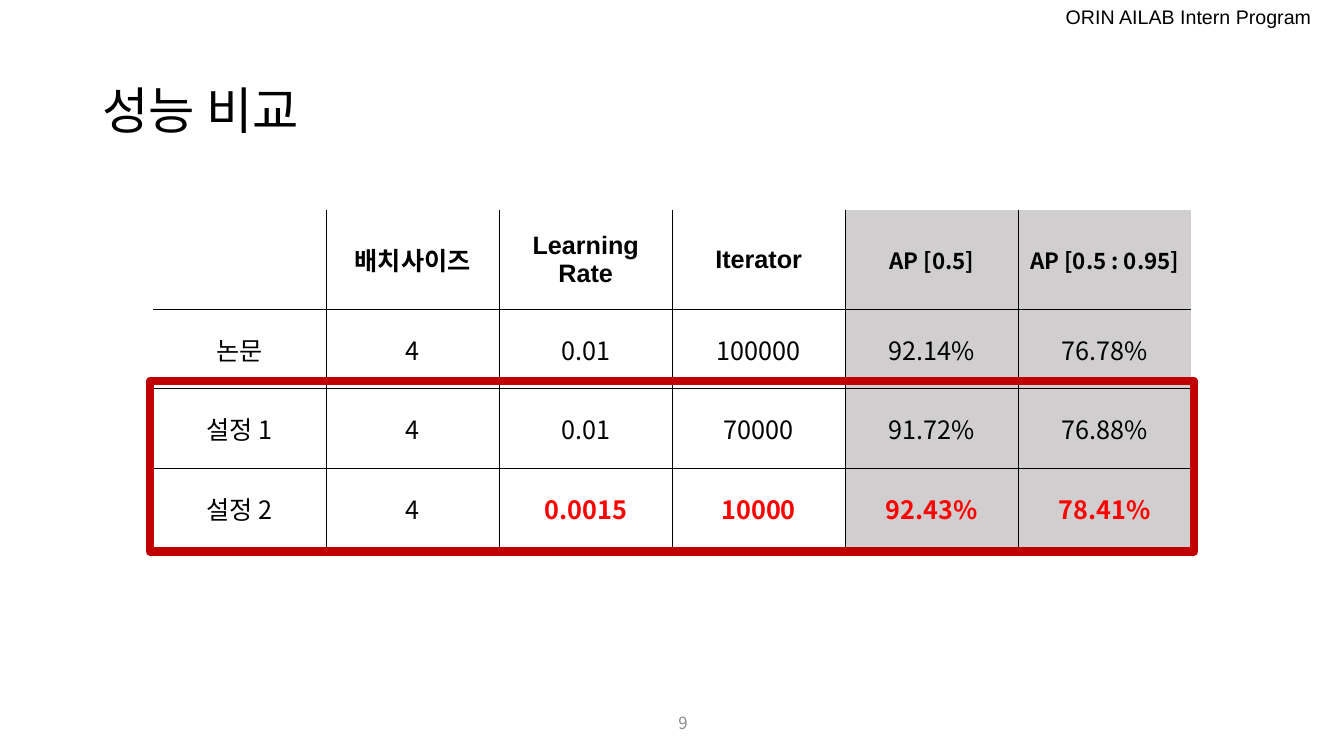
from dataclasses import dataclass

from lxml import etree
from pptx import Presentation
from pptx import util as u
from pptx.dml.color import RGBColor
from pptx.enum import shapes, text
from pptx.oxml import ns

COLORS = {
    "black": "000000",
    "white": "FFFFFF",
    "highlight": "D0CECE",
    "best": "FF0000",
    "frame": "C00000",
    "page": "8C8C8C",
}
LATIN_FONT = "Arial"
KOREAN_FONT = "Noto Sans CJK KR"
ROWS = [
    ["", "배치사이즈", "Learning Rate", "Iterator", "AP [0.5]", "AP [0.5 : 0.95]"],
    ["논문", "4", "0.01", "100000", "92.14%", "76.78%"],
    ["설정 1", "4", "0.01", "70000", "91.72%", "76.88%"],
    ["설정 2", "4", "0.0015", "10000", "92.43%", "78.41%"],
]
ROW_HEIGHTS = [2.5, 2.01, 2.01, 2.01]
COLUMN_WIDTH = 4.36
FIRST_SCORE_COLUMN = 4
FIRST_BEST_COLUMN = 2


@dataclass(frozen=True)
class Box:
    left: float
    top: float
    width: float
    height: float

    def lengths(self) -> tuple:
        return u.Cm(self.left), u.Cm(self.top), u.Cm(self.width), u.Cm(self.height)


@dataclass(frozen=True)
class TextStyle:
    size: int
    font: str = KOREAN_FONT
    color: str = "black"
    bold: bool = False
    align: text.PP_ALIGN = text.PP_ALIGN.CENTER


@dataclass(frozen=True)
class Label:
    words: str
    box: Box
    style: TextStyle
    anchor: text.MSO_ANCHOR


LABELS = [
    Label("ORIN AILAB Intern Program", Box(0.89, 0, 32.41, 0.86),
          TextStyle(14, LATIN_FONT, align=text.PP_ALIGN.RIGHT), text.MSO_ANCHOR.TOP),
    Label("9", Box(9.96, 17.7, 7.62, 1.02),
          TextStyle(12, color="page", align=text.PP_ALIGN.RIGHT), text.MSO_ANCHOR.MIDDLE),
]


def rgb(name: str) -> RGBColor:
    return RGBColor.from_string(COLORS[name])


def write(frame, words: str, style: TextStyle) -> None:
    """Fill a text frame with one paragraph, Hangul always in the Korean font."""
    paragraph = frame.paragraphs[0]
    paragraph.text = words
    paragraph.alignment = style.align
    font = paragraph.font
    font.size = u.Pt(style.size)
    font.bold = style.bold
    font.name = style.font
    font.color.rgb = rgb(style.color)
    properties = paragraph._p.pPr.find(ns.qn("a:defRPr"))
    etree.SubElement(properties, ns.qn("a:ea"), typeface=KOREAN_FONT)


def add_label(slide, label: Label) -> None:
    frame = slide.shapes.add_textbox(*label.box.lengths()).text_frame
    frame.word_wrap = True
    frame.vertical_anchor = label.anchor
    write(frame, label.words, label.style)


def add_title(slide, words: str, box: Box) -> None:
    title = slide.shapes.title
    title.left, title.top, title.width, title.height = box.lengths()
    title.text_frame.vertical_anchor = text.MSO_ANCHOR.MIDDLE
    write(title.text_frame, words, TextStyle(36, align=text.PP_ALIGN.LEFT))
    title.text_frame.paragraphs[0].line_spacing = 0.9


def set_borders(cell, sides: dict[str, bool]) -> None:
    """Draw the sides marked True and clear the others."""
    properties = cell._tc.get_or_add_tcPr()
    for position, (side, visible) in enumerate(sides.items()):
        line = etree.Element(ns.qn(f"a:ln{side}"), w=str(u.Pt(1)))
        properties.insert(position, line)
        if visible:
            fill = etree.SubElement(line, ns.qn("a:solidFill"))
            etree.SubElement(fill, ns.qn("a:srgbClr"), val=COLORS["black"])
        else:
            etree.SubElement(line, ns.qn("a:noFill"))


def cell_style(row: int, column: int) -> TextStyle:
    if row == 0:
        if column >= FIRST_SCORE_COLUMN:
            return TextStyle(16, bold=True)
        return TextStyle(18, LATIN_FONT, bold=True)
    if row == len(ROWS) - 1 and column >= FIRST_BEST_COLUMN:
        return TextStyle(18, color="best", bold=True)
    return TextStyle(18)


def add_results_table(slide, left: float, top: float) -> None:
    last_row, last_column = len(ROWS) - 1, len(ROWS[0]) - 1
    box = Box(left, top, COLUMN_WIDTH * len(ROWS[0]), sum(ROW_HEIGHTS))
    table = slide.shapes.add_table(len(ROWS), len(ROWS[0]), *box.lengths()).table
    table.first_row = table.horz_banding = False
    for column in table.columns:
        column.width = u.Cm(COLUMN_WIDTH)
    for row, height in zip(table.rows, ROW_HEIGHTS):
        row.height = u.Cm(height)
    for r, values in enumerate(ROWS):
        for c, value in enumerate(values):
            cell = table.cell(r, c)
            cell.vertical_anchor = text.MSO_ANCHOR.MIDDLE
            cell.fill.solid()
            cell.fill.fore_color.rgb = rgb("highlight" if c >= FIRST_SCORE_COLUMN else "white")
            set_borders(cell, {"L": c > 0, "R": c < last_column, "T": r > 0, "B": r < last_row})
            write(cell.text_frame, value, cell_style(r, c))


def add_frame(slide, box: Box) -> None:
    frame = slide.shapes.add_shape(shapes.MSO_SHAPE.RECTANGLE, *box.lengths())
    frame.shadow.inherit = False
    frame.fill.background()
    frame.line.color.rgb = rgb("frame")
    frame.line.width = u.Pt(6)


def main() -> None:
    presentation = Presentation()
    presentation.slide_width, presentation.slide_height = u.Cm(33.87), u.Cm(19.05)
    slide = presentation.slides.add_slide(presentation.slide_layouts.get_by_name("Title Only"))
    add_title(slide, "성능 비교", Box(2.33, 1.01, 29.21, 3.68))
    for label in LABELS:
        add_label(slide, label)
    add_results_table(slide, 3.86, 5.29)
    add_frame(slide, Box(3.78, 9.6, 26.31, 4.3))
    presentation.save("out.pptx")


if __name__ == "__main__":
    main()
